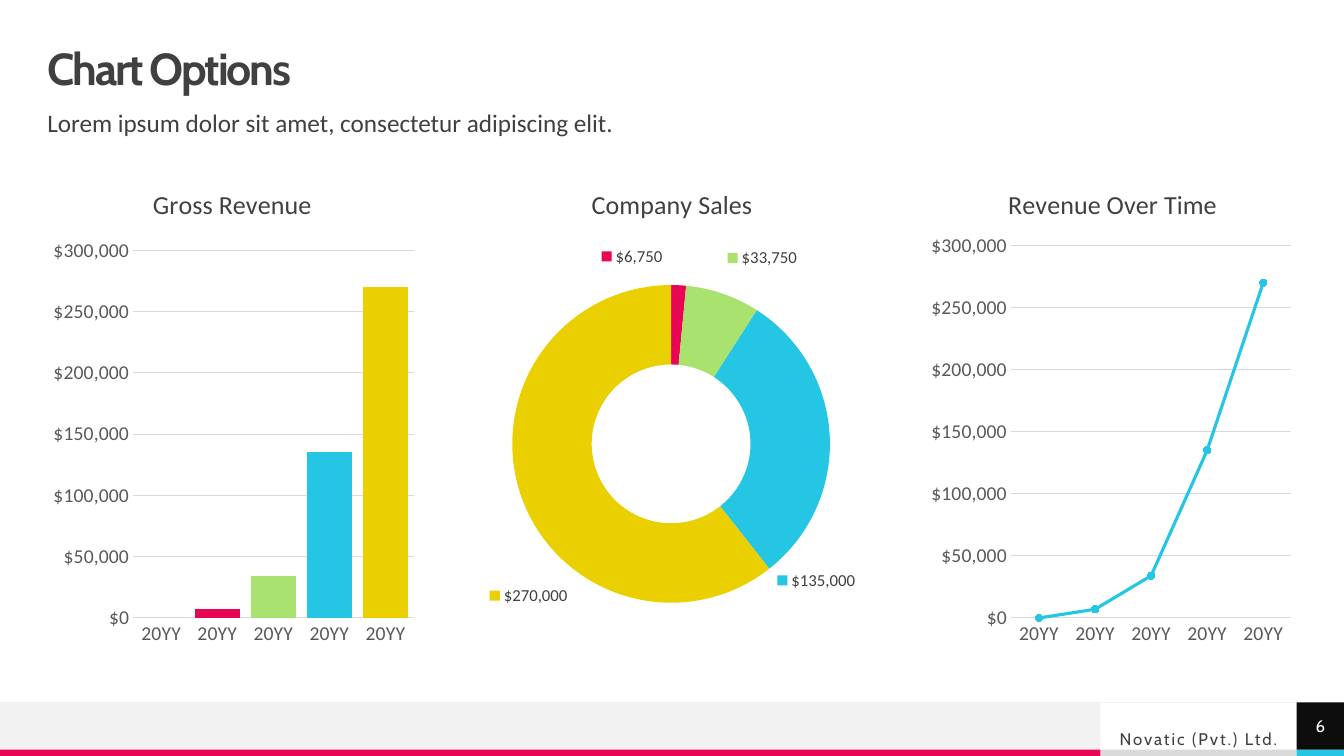
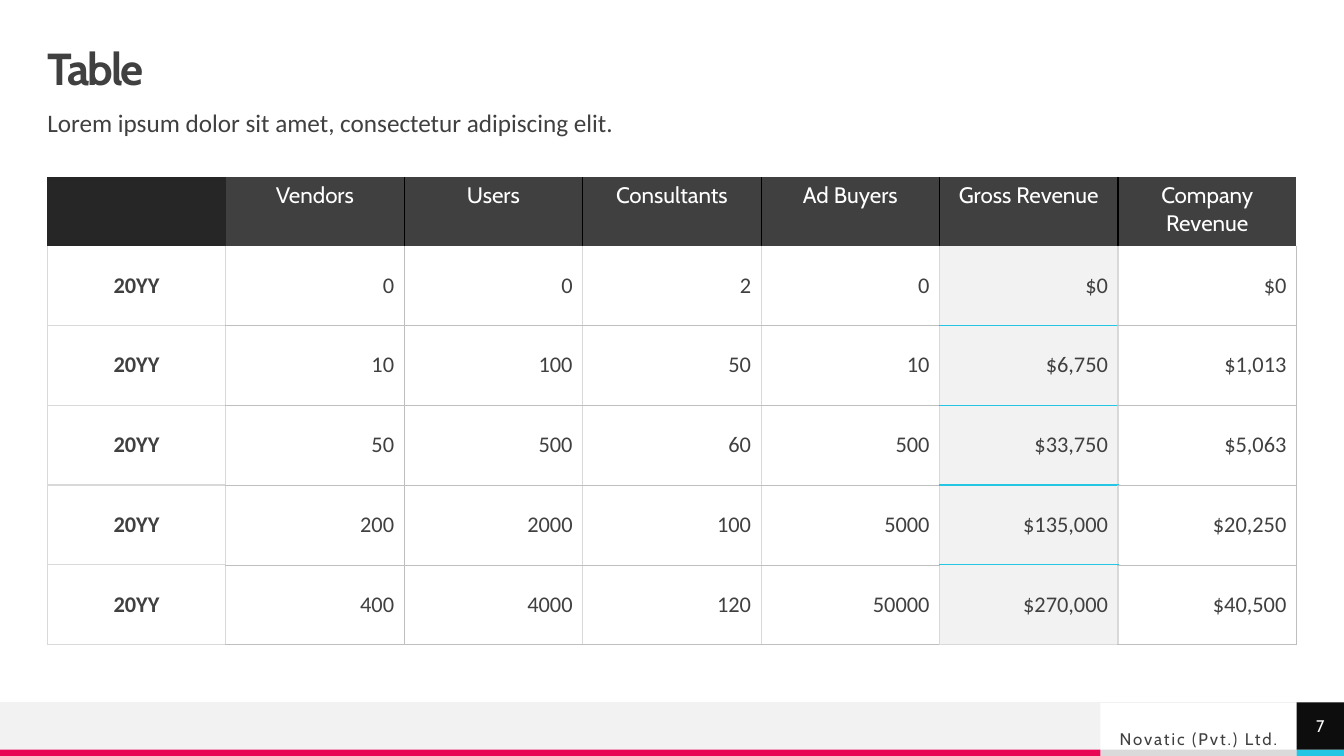
from dataclasses import dataclass
from typing import Any, Optional

from lxml import etree
from pptx import Presentation
from pptx.chart.data import CategoryChartData
from pptx.dml.color import RGBColor
from pptx.enum.chart import XL_CHART_TYPE, XL_MARKER_STYLE, XL_TICK_MARK
from pptx.enum.shapes import MSO_CONNECTOR, MSO_SHAPE
from pptx.enum.text import MSO_ANCHOR, MSO_AUTO_SIZE, PP_ALIGN
from pptx.oxml import parse_xml
from pptx.oxml.ns import nsdecls, qn
from pptx.util import Emu, Pt

RECT = MSO_SHAPE.RECTANGLE
STRAIGHT = MSO_CONNECTOR.STRAIGHT
FIXED = MSO_AUTO_SIZE.NONE
MID, TOP = MSO_ANCHOR.MIDDLE, MSO_ANCHOR.TOP
LEFT, CENTER, RIGHT = PP_ALIGN.LEFT, PP_ALIGN.CENTER, PP_ALIGN.RIGHT
COLUMN = XL_CHART_TYPE.COLUMN_CLUSTERED
RING = XL_CHART_TYPE.DOUGHNUT
LINE = XL_CHART_TYPE.LINE_MARKERS_STACKED
NO_TICK = XL_TICK_MARK.NONE
DOT = XL_MARKER_STYLE.CIRCLE

HUE = {
    "white": "FFFFFF", "black": "000000", "night": "0D0D0D", "coal": "262626",
    "text": "404040", "label": "595959", "edge": "BFBFBF", "grid": "D9D9D9",
    "silver": "DADADA", "mist": "F2F2F2", "pink": "E80554", "green": "A9E26F",
    "cyan": "25C6E3", "gold": "EAD000",
}
HEAD, BODY = "Cabin", "Calibri"
MONEY = '"$"#,##0'
PART = ("green", "pink", "green", "cyan", "gold")
YEARS = ["20YY"] * 5
SUB = "Lorem ipsum dolor sit amet, consectetur adipiscing elit."
FIRM = "Novatic (Pvt.) Ltd."
MARGIN, WIDE, FOOT, PAGE = 45, 1190, 669, 1235


@dataclass
class Bar:
    left: int
    top: int
    width: int
    height: int
    hue: str


@dataclass
class Graph:
    kind: Any
    title: str
    cats: list[str]
    vals: list[int]
    spot: tuple[float, ...]
    plot: tuple[float, ...]


BARS = [
    Bar(1048, 714, 187, 6, "silver"),
    Bar(0, FOOT, 1048, 45, "mist"),
    Bar(0, 714, 1048, 6, "pink"),
    Bar(PAGE, 714, 45, 6, "cyan"),
]
SALES = [0, 7000, 34000, 135000, 270000]
GRAPHS = [
    Graph(COLUMN, "Gross Revenue", YEARS, SALES,
          (0.27, 0.03), (0.23, 0.17, 0.75, 0.75)),
    Graph(RING, "Company Sales", list("12345"), [0, 6750, 33750, 135000, 270000],
          (0.27, 0.03), (0.07, 0.24, 0.85, 0.65)),
    Graph(LINE, "Revenue Over Time", YEARS, SALES,
          (0.21, 0.03), (0.23, 0.16, 0.75, 0.76)),
]
SHIFTS = {1: (-0.12, -0.14), 2: (0.14, -0.15), 3: (0.07, 0.29), 4: (-0.08, 0.23)}
ROWS = [
    ["", "Vendors", "Users", "Consultants", "Ad Buyers", "Gross Revenue",
     "Company Revenue"],
    ["20YY", "0", "0", "2", "0", "$0", "$0"],
    ["20YY", "10", "100", "50", "10", "$6,750", "$1,013"],
    ["20YY", "50", "500", "60", "500", "$33,750", "$5,063"],
    ["20YY", "200", "2000", "100", "5000", "$135,000", "$20,250"],
    ["20YY", "400", "4000", "120", "50000", "$270,000", "$40,500"],
]
GROSS = 5


def px(num: int) -> Emu:
    return Emu(num * 9525)


def box(*nums: int) -> list[Emu]:
    return [px(num) for num in nums]


def ink(hue: str) -> RGBColor:
    return RGBColor.from_string(HUE[hue])


def style(font: Any, size: float, hue: str, face: str = BODY,
          bold: bool = False) -> None:
    font.size, font.name, font.bold = Pt(size), face, bold
    font.color.rgb = ink(hue)


def paint(item: Any, hue: str) -> None:
    item.fill.solid()
    item.fill.fore_color.rgb = ink(hue)


def track(shape: Any, gap: int) -> None:
    """Set letter spacing, in hundredths of a point."""
    shape.element.xpath(".//a:defRPr")[0].set("spc", str(gap))


def fit(frame: Any, anchor: Any) -> None:
    """Wrap the text in a fixed frame without insets."""
    frame.margin_left = frame.margin_right = 0
    frame.margin_top = frame.margin_bottom = 0
    frame.word_wrap, frame.auto_size = True, FIXED
    frame.vertical_anchor = anchor


def block(slide: Any, bar: Bar) -> Any:
    shape = slide.shapes.add_shape(
        RECT, *box(bar.left, bar.top, bar.width, bar.height))
    shape.shadow.inherit = False
    paint(shape, bar.hue)
    shape.line.fill.background()
    return shape


def firm(slide: Any) -> Any:
    shape = slide.shapes.add_textbox(*box(1048, 693, 187, 21))
    frame = shape.text_frame
    fit(frame, MID)
    frame.text = FIRM
    para = frame.paragraphs[0]
    para.alignment = CENTER
    style(para.font, 12, "text", HEAD)
    track(shape, 140)
    return shape


def rule(slide: Any) -> Any:
    line = slide.shapes.add_connector(STRAIGHT, *box(1280, FOOT, 0, FOOT))
    line.line.color.rgb, line.line.width = ink("mist"), Pt(0.5)
    etree.SubElement(line.element.spPr, qn("a:effectLst"))
    return line


def furnish(layout: Any, slide: Any) -> None:
    """Draw the shared footer once and move it from the slide to the layout."""
    parts = [block(slide, bar) for bar in BARS] + [firm(slide), rule(slide)]
    for part in parts:
        layout.element.cSld.spTree.append(part.element)


def setup(layout: Any) -> None:
    """Keep and place only the title and the body of the layout."""
    for hold in list(layout.placeholders)[2:]:
        hold.element.getparent().remove(hold.element)
    spots = ((MARGIN, 45, WIDE, 45), (MARGIN, 105, WIDE, 37))
    for hold, spot in zip(layout.placeholders, spots):
        hold.left, hold.top, hold.width, hold.height = box(*spot)


def heading(slide: Any, title: str, page: int) -> None:
    name, sub = slide.placeholders
    for hold, text, size, face, anchor in (
            (name, title, 32, HEAD, MID), (sub, SUB, 18, BODY, TOP)):
        frame = hold.text_frame
        frame.text = text
        fit(frame, anchor)
        para = frame.paragraphs[0]
        para.alignment, para.line_spacing = LEFT, 0.9
        style(para.font, size, "text", face, hold is name)
    track(name, -150)
    sub.text_frame.paragraphs[0].space_before = Pt(10)
    props = sub.element.xpath(".//a:pPr")[0]
    props.set("marL", "0")
    props.set("indent", "0")
    props.find(qn("a:defRPr")).addprevious(etree.Element(qn("a:buNone")))

    frame = block(slide, Bar(PAGE, FOOT, 45, 45, "night")).text_frame
    fit(frame, MID)
    frame.text = str(page)
    frame.paragraphs[0].alignment = CENTER
    style(frame.paragraphs[0].font, 12, "white", HEAD)


def place(node: Any, spot: int, nums: tuple[float, ...], mode: str = "") -> None:
    """Give a chart part a manual layout, as its child number spot."""
    for old in node.findall(qn("c:layout")):
        node.remove(old)
    tags = '<c:layoutTarget val="inner"/>' if len(nums) == 4 else ""
    if mode:
        tags += f'<c:xMode val="{mode}"/><c:yMode val="{mode}"/>'
    tags += "".join(f'<c:{key} val="{num}"/>' for key, num in zip("xywh", nums))
    node.insert(spot, parse_xml(
        f'<c:layout {nsdecls("c")}><c:manualLayout>{tags}'
        "</c:manualLayout></c:layout>"))


def scale(chart: Any) -> None:
    """Format both axes."""
    cat, val = chart.category_axis, chart.value_axis
    for axis in (cat, val):
        axis.major_tick_mark = axis.minor_tick_mark = NO_TICK
        style(axis.tick_labels.font, 14, "label")
    val.minimum_scale, val.maximum_scale, val.major_unit = 0, 300000, 50000
    val.tick_labels.number_format = MONEY
    val.tick_labels.number_format_is_linked = False
    val.format.line.fill.background()
    val.has_major_gridlines = True
    for line in (cat.format.line, val.major_gridlines.format.line):
        line.color.rgb, line.width = ink("grid"), Pt(0.75)


def tag(chart: Any, series: Any) -> None:
    """Label the ring's slices with a colour key, outside the ring."""
    labels = series.data_labels
    labels.show_value = False
    labels.number_format, labels.number_format_is_linked = MONEY, False
    style(labels.font, 12, "text")
    for num in SHIFTS:
        style(series.points[num].data_label.font, 12, "text")
    root = chart.element
    for node, shift in zip(root.xpath(".//c:dLbl"), SHIFTS.values()):
        place(node, 1, shift)
        node.find(qn("c:showLegendKey")).set("val", "1")
    for node in root.xpath(".//c:showLeaderLines"):
        node.set("val", "0")


def plot(slide: Any, graph: Graph, left: int) -> None:
    data = CategoryChartData(number_format=MONEY)
    data.categories = graph.cats
    data.add_series("Series 1", graph.vals)
    chart = slide.shapes.add_chart(
        graph.kind, *box(left, 159, 356, 467), data).chart
    chart.has_legend = False
    style(chart.font, 10, "black")
    chart.has_title = True
    frame = chart.chart_title.text_frame
    frame.text = graph.title
    style(frame.paragraphs[0].font, 18.6, "text")
    place(chart.element.xpath("c:chart/c:title")[0], 1, graph.spot, "edge")
    place(chart.element.xpath(".//c:plotArea")[0], 0, graph.plot, "edge")

    body = chart.plots[0]
    body.vary_by_categories = graph.kind == RING
    series = body.series[0]
    if graph.kind == LINE:
        series.smooth = False
        series.format.line.color.rgb = ink("cyan")
        series.format.line.width = Pt(2.25)
        series.marker.style, series.marker.size = DOT, 5
        paint(series.marker.format, "cyan")
        series.marker.format.line.color.rgb = ink("cyan")
    else:
        for num, hue in enumerate(PART):
            paint(series.points[num].format, hue)
    if graph.kind == RING:
        tag(chart, series)
    else:
        scale(chart)
    if graph.kind == COLUMN:
        body.gap_width = 25


def edge(props: Any, side: str, hue: Optional[str]) -> None:
    """Add a cell border; hairline for the edge colour, none without a colour."""
    width = Pt(0.25 if hue == "edge" else 1)
    line = etree.SubElement(props, qn(f"a:ln{side}"), w=str(width))
    if hue:
        fill = etree.SubElement(line, qn("a:solidFill"))
        etree.SubElement(fill, qn("a:srgbClr"), val=HUE[hue])
    else:
        etree.SubElement(line, qn("a:noFill"))


def upright(row: int, pos: int) -> Optional[str]:
    """Colour of the vertical border at the left of column pos."""
    if row == 0:
        return "black" if 2 <= pos <= 6 else None
    return "edge" if pos in (2, 7) else "grid"


def level(row: int, col: int) -> Optional[str]:
    """Colour of the horizontal border under a cell."""
    if row <= 0:
        return None
    if col == GROSS:
        return "cyan" if row < len(ROWS) - 1 else "grid"
    return "grid" if col == 0 else "edge"


def grid(slide: Any) -> None:
    shape = slide.shapes.add_table(
        len(ROWS), len(ROWS[0]), *box(MARGIN, 169, WIDE, 445))
    table = shape.table
    table.first_row = table.horz_banding = False
    for col in table.columns:
        col.width = px(WIDE // len(ROWS[0]))
    nodes = iter(shape.element.xpath(".//a:tc"))
    for row, texts in enumerate(ROWS):
        table.rows[row].height = px(76 if row else 65)
        for col, text in enumerate(texts):
            cell = table.cell(row, col)
            cell.text = text
            cell.vertical_anchor = MID if row else TOP
            para = cell.text_frame.paragraphs[0]
            para.alignment = RIGHT if row and col else CENTER
            if row:
                style(para.font, 16, "text", BODY, col == 0)
                hue = "mist" if col == GROSS else "white"
            else:
                style(para.font, 16, "white", HEAD)
                hue = "text" if col else "coal"
            props = next(nodes).get_or_add_tcPr()
            edge(props, "L", upright(row, col))
            edge(props, "R", upright(row, col + 1))
            edge(props, "T", level(row - 1, col))
            edge(props, "B", level(row, col))
            paint(cell, hue)


def main() -> None:
    prs = Presentation()
    prs.slide_width, prs.slide_height = box(1280, 720)
    layout = prs.slide_layouts[1]
    setup(layout)
    charts, table = [prs.slides.add_slide(layout) for _ in range(2)]
    furnish(layout, charts)
    heading(charts, "Chart Options", 6)
    for num, graph in enumerate(GRAPHS):
        plot(charts, graph, MARGIN + 418 * num)
    heading(table, "Table", 7)
    grid(table)
    prs.save("out.pptx")


if __name__ == "__main__":
    main()
